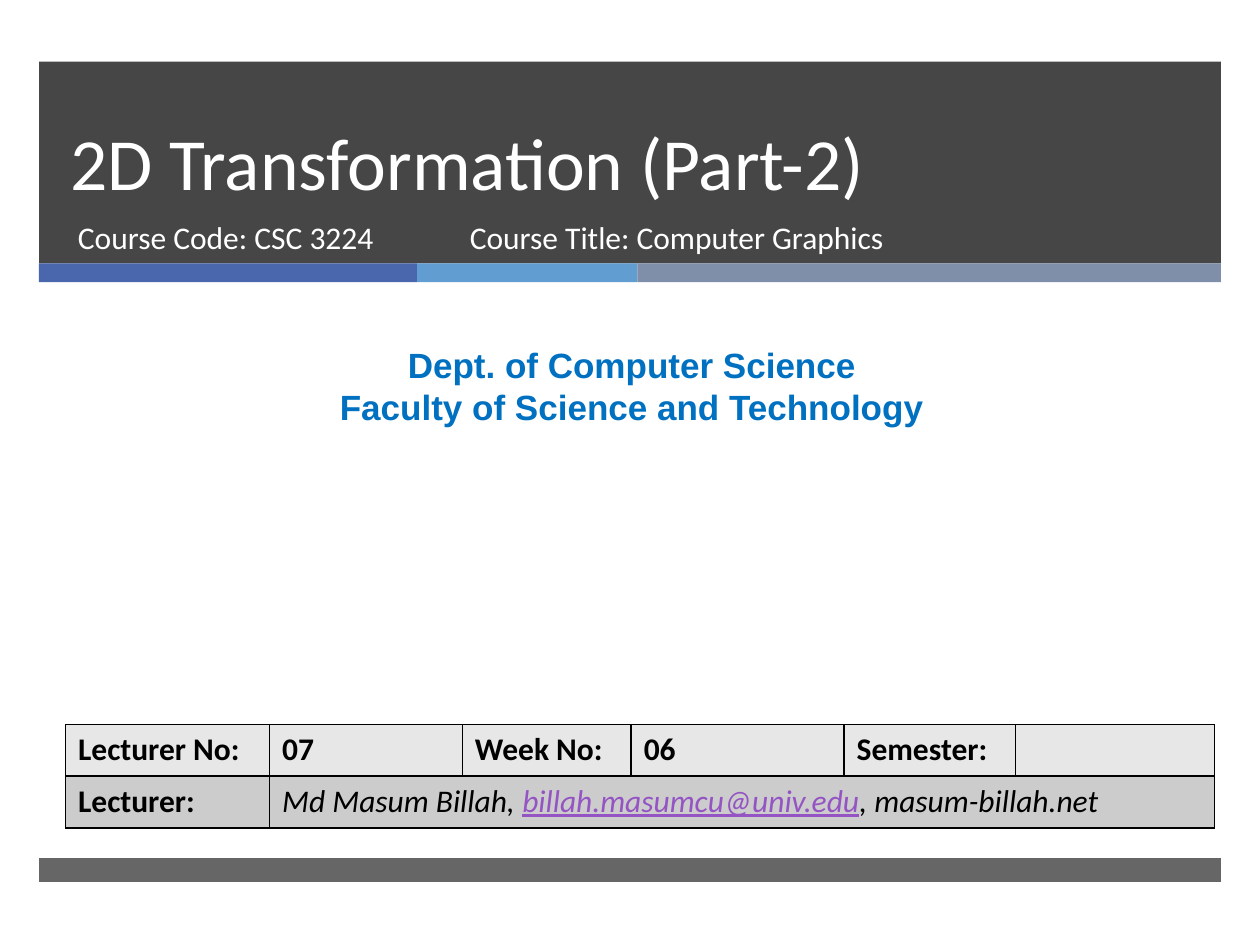
from typing import NamedTuple

from lxml import etree
from pptx import Presentation
from pptx import util as u
from pptx.dml.color import RGBColor
from pptx.enum import shapes, text
from pptx.oxml.ns import qn

SCALE = 9144  # EMU per px, 100 px to the inch
WHITE, BLACK, DARK = "FFFFFF", "000000", "262626"
BLUE, VIOLET = "0070C0", "9454C3"


class Box(NamedTuple):
    x: int
    y: int
    w: int
    h: int


class Bar(NamedTuple):
    box: Box
    fill: str
    alpha: int = 100


BARS = [
    Bar(Box(31, 49, 938, 160), DARK, 85),
    Bar(Box(31, 209, 300, 15), "4A66AC"),
    Bar(Box(331, 209, 175, 15), "629DD1"),
    Bar(Box(506, 209, 463, 15), "7F8FA9"),
    Bar(Box(31, 681, 938, 19), DARK, 70),
]
COLS = [162, 153, 134, 169, 136, 158]
ROW = 41
HEAD = ["Lecturer No:", "07", "Week No:", "06", "Semester:", ""]
FILLS = ["E7E7E7", "CCCCCC"]


def px(n: int) -> int:
    return u.Emu(n * SCALE)


def rgb(code: str) -> RGBColor:
    return RGBColor.from_string(code)


def paint(fill, code: str) -> None:
    fill.solid()
    fill.fore_color.rgb = rgb(code)


def write(par, words: str, size: int = 18, font: str = "Calibri",
          color: str = WHITE, bold: bool = False, italic: bool = False,
          under: bool = False) -> None:
    """Add one formatted run to a paragraph."""
    run = par.add_run()
    run.text = words
    f = run.font
    f.size, f.name, f.color.rgb = u.Pt(size), font, rgb(color)
    f.bold, f.italic, f.underline = bold, italic, under


def add_bar(slide, bar: Bar) -> None:
    shape = slide.shapes.add_shape(
        shapes.MSO_SHAPE.RECTANGLE, *map(px, bar.box))
    shape.shadow.inherit = False
    shape.line.fill.background()
    paint(shape.fill, bar.fill)
    if bar.alpha < 100:
        tint = shape.element.spPr.find(".//" + qn("a:srgbClr"))
        etree.SubElement(tint, qn("a:alpha"), val=str(bar.alpha * 1000))


def add_title(slide, box: Box, words: str) -> None:
    """Fill the title placeholder and bring it in front of the bars."""
    title = slide.shapes.title
    title.left, title.top, title.width, title.height = map(px, box)
    title.element.getparent().append(title.element)
    frame = title.text_frame
    frame.auto_size = text.MSO_AUTO_SIZE.NONE
    frame.vertical_anchor = text.MSO_ANCHOR.BOTTOM
    par = frame.paragraphs[0]
    par.alignment = text.PP_ALIGN.LEFT
    par.line_spacing = u.Pt(46)
    write(par, words, size=42)


def add_text(slide, box: Box, lines: list[str],
             align=text.PP_ALIGN.LEFT, **style) -> None:
    frame = slide.shapes.add_textbox(*map(px, box)).text_frame
    frame.word_wrap = True
    for i, line in enumerate(lines):
        par = frame.add_paragraph() if i else frame.paragraphs[0]
        par.alignment = align
        write(par, line, **style)


def edge(cell) -> None:
    """Draw a thin black border on all four sides of a cell."""
    props = cell._tc.get_or_add_tcPr()
    for i, side in enumerate(("lnL", "lnR", "lnT", "lnB")):
        line = etree.Element(qn("a:" + side), w=str(u.Pt(1)))
        fill = etree.SubElement(line, qn("a:solidFill"))
        etree.SubElement(fill, qn("a:srgbClr"), val=BLACK)
        props.insert(i, line)


def add_table(slide, x: int, y: int) -> None:
    box = Box(x, y, sum(COLS), ROW * len(FILLS))
    table = slide.shapes.add_table(
        len(FILLS), len(COLS), *map(px, box)).table
    for col, wide in zip(table.columns, COLS):
        col.width = px(wide)
    for r, fill in enumerate(FILLS):
        table.rows[r].height = px(ROW)
        for c in range(len(COLS)):
            cell = table.cell(r, c)
            paint(cell.fill, fill)
            edge(cell)
    table.cell(1, 1).merge(table.cell(1, len(COLS) - 1))

    labels = [(0, c, words) for c, words in enumerate(HEAD) if words]
    for r, c, words in labels + [(1, 0, "Lecturer:")]:
        par = table.cell(r, c).text_frame.paragraphs[0]
        write(par, words, color=BLACK, bold=True)
    par = table.cell(1, 1).text_frame.paragraphs[0]
    write(par, "Md Masum Billah, ", color=BLACK, italic=True)
    write(par, "billah.masumcu@univ.edu", color=VIOLET, italic=True,
          under=True)
    write(par, ", masum-billah.net", color=BLACK, italic=True)


def main() -> None:
    deck = Presentation()
    deck.slide_width, deck.slide_height = px(1000), px(750)
    slide = deck.slides.add_slide(deck.slide_layouts[5])
    for bar in BARS:
        add_bar(slide, bar)
    add_title(slide, Box(46, 49, 854, 119), "2D Transformation (Part-2)")
    add_text(slide, Box(52, 168, 305, 53), ["Course Code: CSC 3224"])
    add_text(slide, Box(363, 168, 455, 53),
             ["Course Title: Computer Graphics"])
    add_text(slide, Box(8, 268, 987, 77),
             ["Dept. of Computer Science",
              "Faculty of Science and Technology"],
             align=text.PP_ALIGN.CENTER, size=20, font="Arial",
             color=BLUE, bold=True)
    add_table(slide, 52, 575)
    deck.save("out.pptx")


if __name__ == "__main__":
    main()
